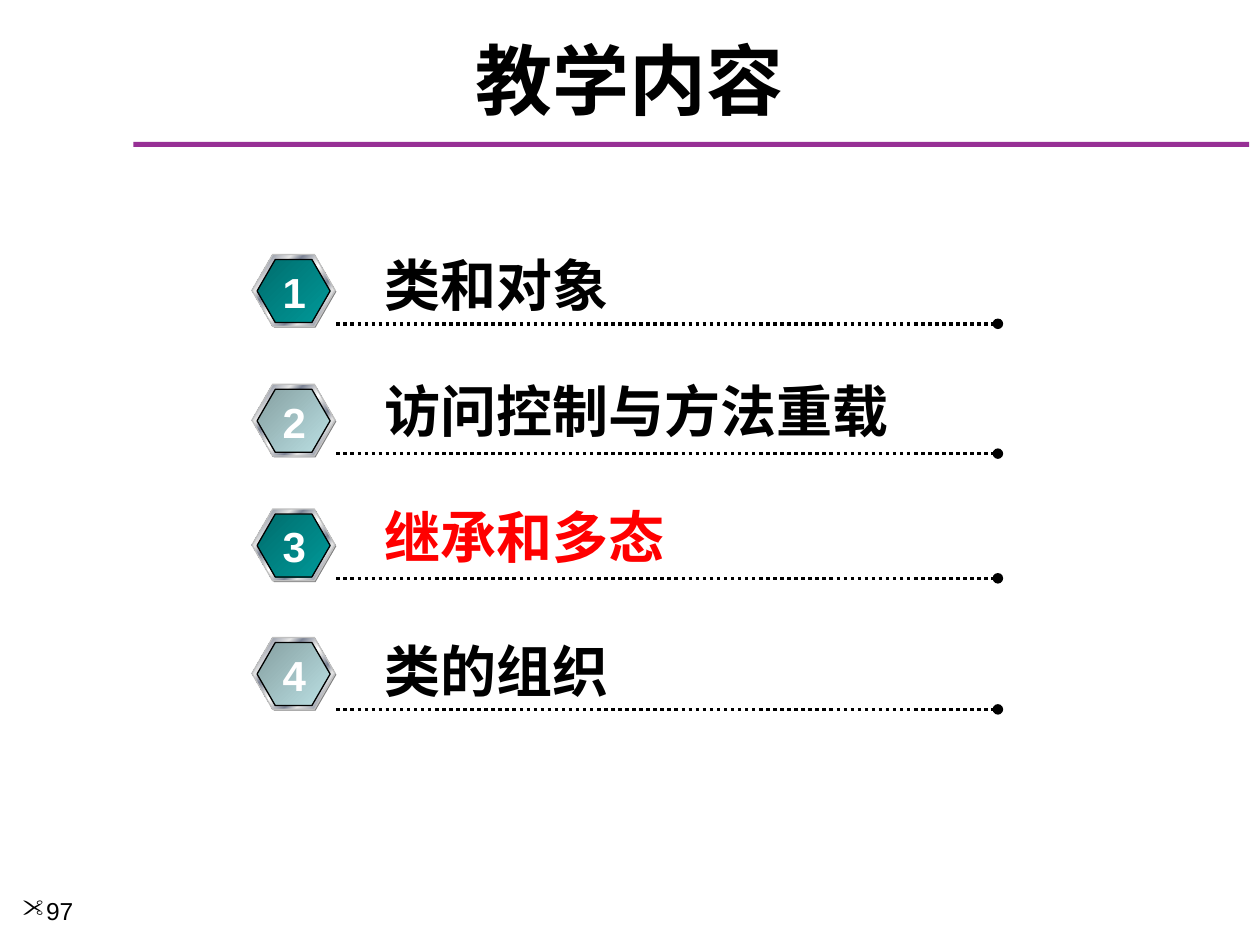
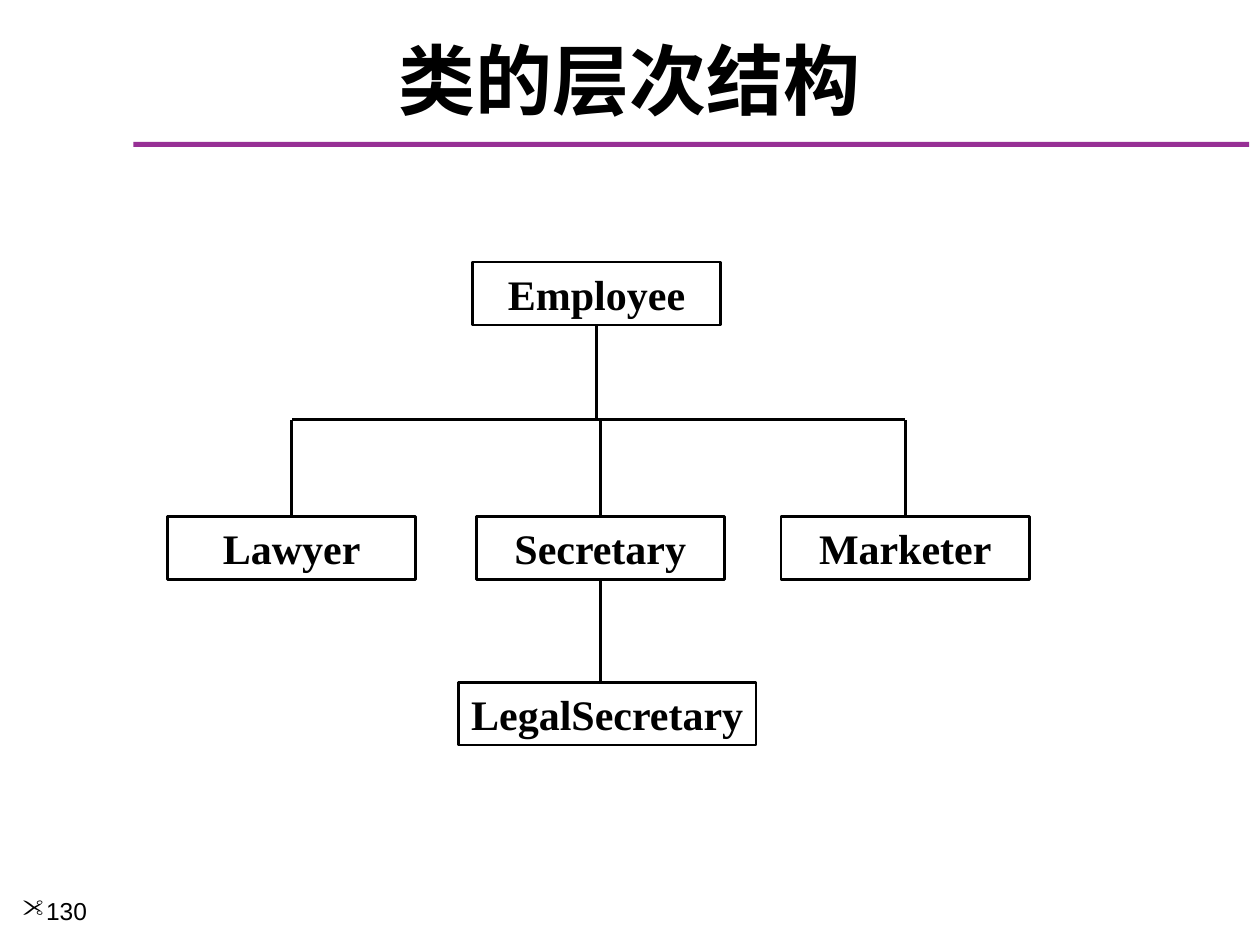
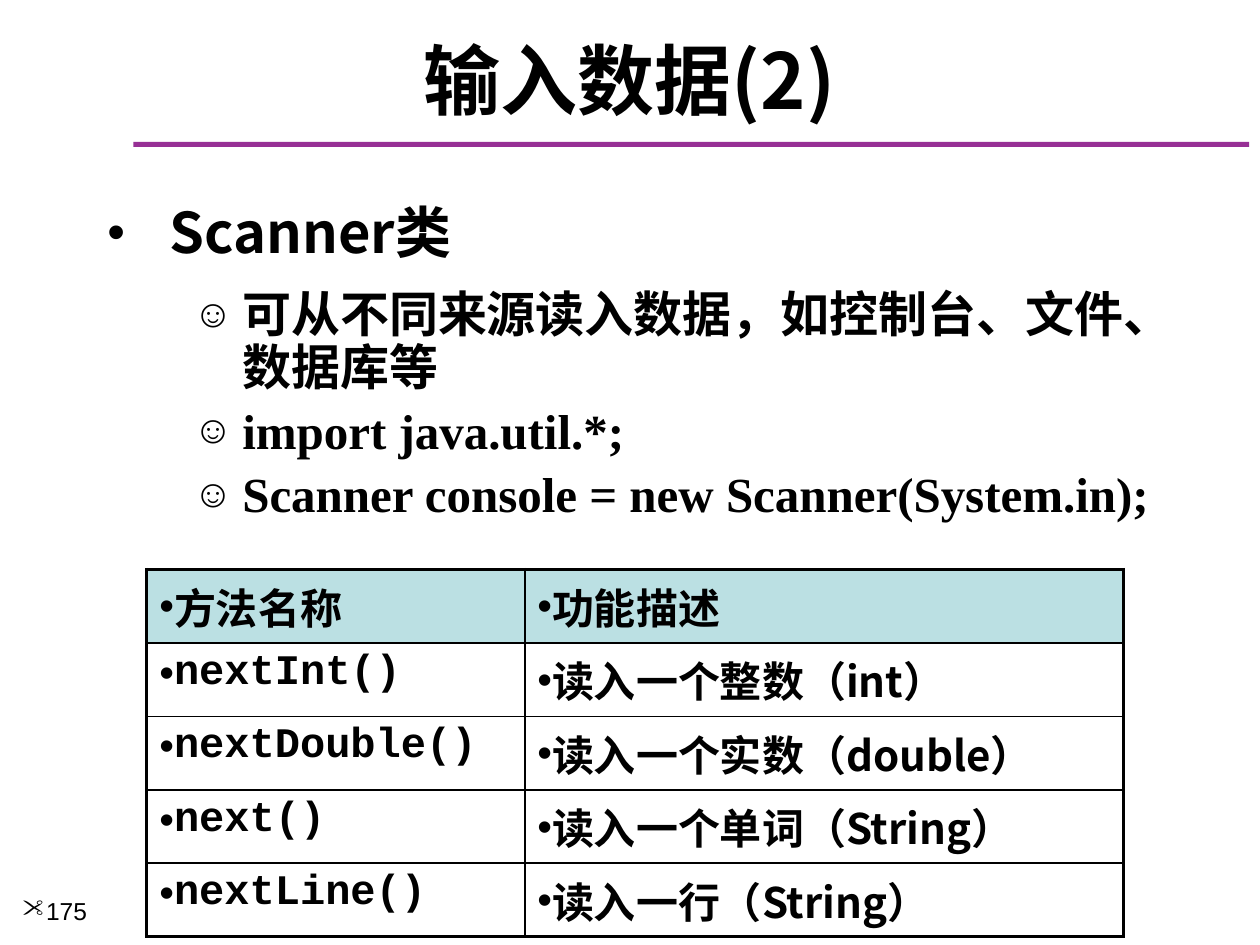
from lxml import etree
from pptx import Presentation
from pptx import util as u
from pptx.dml.color import RGBColor
from pptx.enum import dml, shapes, text
from pptx.oxml.ns import qn

BLACK = RGBColor(0x00, 0x00, 0x00)
WHITE = RGBColor(0xFF, 0xFF, 0xFF)
RED = RGBColor(0xFF, 0x00, 0x00)
PURPLE = RGBColor(0x97, 0x30, 0x95)
GRAY = RGBColor(0x80, 0x80, 0x80)
SILVER = RGBColor(0xC0, 0xC0, 0xC0)
LIGHT = RGBColor(0xE6, 0xE6, 0xE6)
STEEL = RGBColor(0x7D, 0x84, 0x96)
TEAL_DARK = RGBColor(0x00, 0x6D, 0x6D)
TEAL = RGBColor(0x00, 0x99, 0x99)
MIST_DARK = RGBColor(0x86, 0xA0, 0xA2)
MIST = RGBColor(0xBB, 0xE0, 0xE3)

SANS, SERIF, MONO, CJK = "Arial", "Times New Roman", "Courier New", "Noto Sans CJK SC"

deck = Presentation()
deck.slide_width = u.Inches(10)
deck.slide_height = u.Inches(7.5)
CELL = deck.slide_width / 100


def write(holder, content, at=None, size=24, font=CJK, color=BLACK, bold=True,
          align=text.PP_ALIGN.LEFT, anchor=text.MSO_ANCHOR.TOP, wrap=True,
          bullet=None, bullet_font=SANS, bullet_size=100, left=0, hang=0,
          spacing=None, before=None):
    if at:
        holder = holder.shapes.add_textbox(*[round(CELL * n) for n in at])
    frame = holder.text_frame
    frame.word_wrap = wrap
    frame.vertical_anchor = anchor
    paragraph = frame.add_paragraph() if frame.text else frame.paragraphs[0]
    paragraph.alignment = align
    if spacing:
        paragraph.line_spacing = spacing
    if before:
        paragraph.space_before = u.Pt(before)
    if bullet:
        props = paragraph._p.get_or_add_pPr()
        props.set("marL", str(round(CELL * left)))
        props.set("indent", str(round(-CELL * hang)))
        etree.SubElement(props, qn("a:buSzPct"), val=str(bullet_size * 1000))
        face = etree.SubElement(props, qn("a:buFont"), typeface=bullet_font)
        if bullet_font == "Wingdings":
            face.set("charset", "2")
        etree.SubElement(props, qn("a:buChar"), char=bullet)
    run = paragraph.add_run()
    run.text = content
    run.font.size = u.Pt(size)
    run.font.bold = bold
    run.font.color.rgb = color
    run.font.name = font
    etree.SubElement(run._r.get_or_add_rPr(), qn("a:ea"), typeface=CJK)
    return holder


def draw(add, kind, at, fill=None, line=None, width=1.5):
    item = add(kind, *[round(CELL * n) for n in at])
    if fill is not None:
        item.fill.solid()
        item.fill.fore_color.rgb = fill
    elif hasattr(item, "fill"):
        item.fill.background()
    if line is None:
        item.line.fill.background()
    else:
        item.line.color.rgb = line
        item.line.width = u.Pt(width)
    etree.SubElement(item._element.spPr, qn("a:effectLst"))
    return item


HEXAGON = shapes.MSO_SHAPE.HEXAGON
RECTANGLE = shapes.MSO_SHAPE.RECTANGLE
STRAIGHT = shapes.MSO_CONNECTOR.STRAIGHT
CENTER = text.PP_ALIGN.CENTER
MIDDLE = text.MSO_ANCHOR.MIDDLE

pages = []
for heading, number in [("教学内容", "97"), ("类的层次结构", "130"), ("输入数据(2)", "175")]:
    page = deck.slides.add_slide(deck.slide_layouts[6])
    draw(page.shapes.add_shape, RECTANGLE, (10.6, 11.27, 88.55, 0.4), fill=PURPLE)
    write(page, heading, at=(1.6, 2.5, 96.7, 7.5), size=44, align=CENTER, anchor=MIDDLE)
    write(page, number, at=(0.8, 70.6, 10.8, 4.4), size=14, font=SANS, bold=False,
          bullet='"', bullet_font="Wingdings")
    pages.append(page)
contents, hierarchy, scanner = pages

METAL = [(0, LIGHT), (8, STEEL), (26, LIGHT), (34, STEEL), (46, LIGHT), (50, WHITE),
         (54, LIGHT), (66, STEEL), (74, LIGHT), (92, STEEL), (100, LIGHT)]
DEEP_FACE = [(0, TEAL_DARK), (100, TEAL)]
PALE_FACE = [(0, MIST_DARK), (100, MIST)]
chapters = [
    ("类和对象", 20.2, 19.4, 25.7, DEEP_FACE, BLACK),
    ("访问控制与方法重载", 30.5, 29.4, 36, PALE_FACE, BLACK),
    ("继承和多态", 40.4, 39.4, 45.9, DEEP_FACE, RED),
    ("类的组织", 50.6, 50, 56.3, PALE_FACE, BLACK),
]
for order, (chapter, badge_top, chapter_top, rule_y, face, ink) in enumerate(chapters, 1):
    dots = draw(contents.shapes.add_connector, STRAIGHT, (26.7, rule_y, 79.2, rule_y),
                line=BLACK, width=2)
    dots.line.dash_style = dml.MSO_LINE.ROUND_DOT
    etree.SubElement(dots.line._get_or_add_ln(), qn("a:tailEnd"), type="oval")
    write(contents, chapter, at=(29.5, chapter_top, 42.6, 6.4), size=32, font=SANS,
          color=ink, wrap=False)
    layers = [((20.1, badge_top + 0.1, 6.6, 5.7), None, None),
              ((20, badge_top, 6.6, 5.7), METAL, SILVER),
              ((20.4, badge_top + 0.4, 5.8, 5), face, BLACK)]
    for place, stops, edge in layers:
        badge = draw(contents.shapes.add_shape, HEXAGON, place, fill=GRAY, line=edge, width=0.75)
        badge.adjustments[0] = 0.289
        badge.adjustments[1] = 1.155
        if stops:
            badge.fill.gradient()
            badge.fill.gradient_angle = 315
            ramp = badge._element.spPr.find(".//" + qn("a:gsLst"))
            for stop in list(ramp):
                ramp.remove(stop)
            for percent, shade in stops:
                stop = etree.SubElement(ramp, qn("a:gs"), pos=str(percent * 1000))
                etree.SubElement(stop, qn("a:srgbClr"), val=str(shade))
    write(contents, str(order), at=(21.4, badge_top + 0.45, 3.9, 5), font=SANS,
          color=WHITE, align=CENTER, wrap=False)

classes = {}
for name, left, top, width in [
    ("Employee", 37.5, 20.8, 19.7),
    ("Lawyer", 13.3, 41, 19.7),
    ("Secretary", 37.8, 41, 19.7),
    ("Marketer", 62, 41, 19.7),
    ("LegalSecretary", 36.4, 54.15, 23.6),
]:
    classes[name] = draw(hierarchy.shapes.add_shape, RECTANGLE, (left, top, width, 5), line=BLACK)
    write(classes[name], name, font=SERIF, align=CENTER, anchor=MIDDLE, wrap=False)

BUS_Y = 33.3
draw(hierarchy.shapes.add_connector, STRAIGHT, (23.2, BUS_Y, 71.8, BUS_Y), line=BLACK)
for name, side, free_y in [("Employee", 2, BUS_Y), ("Lawyer", 0, BUS_Y), ("Secretary", 0, BUS_Y),
                           ("Marketer", 0, BUS_Y), ("Secretary", 2, 54.2)]:
    box = classes[name]
    middle = (box.left + box.width / 2) / CELL
    branch = draw(hierarchy.shapes.add_connector, STRAIGHT, (middle, free_y, middle, free_y),
                  line=BLACK)
    branch.begin_connect(box, side)

points = write(scanner, "Scanner类", at=(7.55, 15.8, 86.7, 30.8), size=32, bullet="•",
               bullet_size=90, left=4.9, hang=4.9, spacing=0.9)
for point, font, before in [
    ("可从不同来源读入数据，如控制台、文件、数据库等", CJK, 14),
    ("import java.util.*;", SERIF, 6),
    ("Scanner console = new Scanner(System.in);", SERIF, 6),
]:
    write(points, point, size=28, font=font, bullet="☺", bullet_size=80,
          left=10.7, hang=3.9, spacing=0.9, before=before)

methods = [
    ("方法名称", "功能描述"),
    ("nextInt()", "读入一个整数（int）"),
    ("nextDouble()", "读入一个实数（double）"),
    ("next()", "读入一个单词（String）"),
    ("nextLine()", "读入一行（String）"),
]
ROW = 5.83
grid = scanner.shapes.add_table(
    len(methods), 2, *[round(CELL * n) for n in (11.65, 45.2, 77.5, ROW * len(methods))]).table
grid.first_row = grid.horz_banding = False
for column, width in zip(grid.columns, (30, 47.5)):
    column.width = round(CELL * width)
for r, entries in enumerate(methods):
    for c, entry in enumerate(entries):
        cell = grid.cell(r, c)
        write(cell, entry, font=MONO if r and not c else CJK, bullet="•")
        outer = {"lnL": c == 0, "lnR": c == 1, "lnT": r == 0, "lnB": r == len(methods) - 1}
        for side, is_outer in outer.items():
            border = etree.SubElement(cell._tc.get_or_add_tcPr(), qn("a:" + side),
                                      w=str(u.Pt(2.25 if is_outer else 1)))
            paint = etree.SubElement(border, qn("a:solidFill"))
            etree.SubElement(paint, qn("a:srgbClr"), val=str(BLACK))
        if r:
            cell.fill.background()
        else:
            cell.fill.solid()
            cell.fill.fore_color.rgb = MIST

deck.save("out.pptx")
